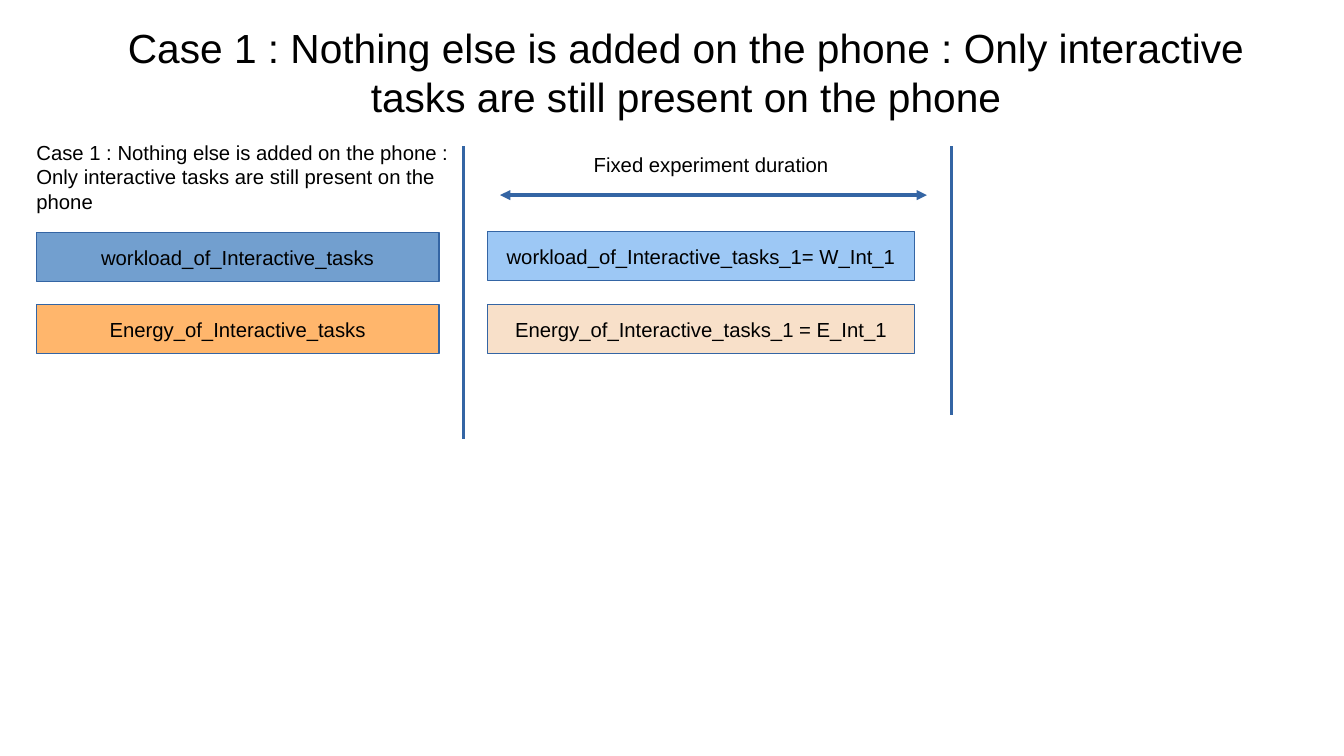
from lxml import etree
from pptx import Presentation
from pptx.dml.color import RGBColor
from pptx.enum import shapes, text
from pptx.oxml import ns
from pptx.util import Pt

CASE = ("Case 1 : Nothing else is added on the phone : "
        "Only interactive tasks are still present on the phone")
BLUE = "3465A4"
LEFT_COLUMN = (21.6, 237.6)
RIGHT_COLUMN = (288, 252)
BAR_HEIGHT = 28.8
BARS = [
    (LEFT_COLUMN, 137.52, "729FCF", "workload_of_Interactive_tasks"),
    (RIGHT_COLUMN, 136.8, "9DC8F5", "workload_of_Interactive_tasks_1= W_Int_1"),
    (LEFT_COLUMN, 180, "FFB66C", "Energy_of_Interactive_tasks"),
    (RIGHT_COLUMN, 180, "F8E0C9", "Energy_of_Interactive_tasks_1 = E_Int_1"),
]


def color(value):
    """Turn a hex string into a colour."""
    return RGBColor.from_string(value)


def write(box, words, size=12, centred=False, middle=False, wrap=True, inset=(7.2, 3.6)):
    """Put one formatted paragraph into a box."""
    across, down = (Pt(side) for side in inset)
    frame = box.text_frame
    frame_format = {
        "margin_left": across, "margin_right": across,
        "margin_top": down, "margin_bottom": down,
        "word_wrap": wrap,
        "vertical_anchor": text.MSO_ANCHOR.MIDDLE if middle else text.MSO_ANCHOR.TOP,
    }
    for name, value in frame_format.items():
        setattr(frame, name, value)
    para = frame.paragraphs[0]
    para.alignment = text.PP_ALIGN.CENTER if centred else text.PP_ALIGN.LEFT
    span = para.add_run()
    span.text = words
    for name, value in {"name": "Arial", "size": Pt(size)}.items():
        setattr(span.font, name, value)
    span.font.color.rgb = color("000000")


def add_label(page, left, top, width, height, words, **layout):
    """Add a text box."""
    box = page.shapes.add_textbox(Pt(left), Pt(top), Pt(width), Pt(height))
    write(box, words, **layout)


def add_bar(page, column, top, fill, words):
    """Add a filled bar with centred text."""
    left, width = column
    box = page.shapes.add_shape(shapes.MSO_SHAPE.RECTANGLE,
                                Pt(left), Pt(top), Pt(width), Pt(BAR_HEIGHT))
    box.shadow.inherit = False
    box.fill.solid()
    box.fill.fore_color.rgb = color(fill)
    box.line.color.rgb = color(BLUE)
    box.line.width = Pt(0)
    write(box, words, centred=True, middle=True, wrap=False)


def add_line(page, start, end, arrows=False):
    """Add a hairline, with arrowheads at both ends if wanted."""
    line = page.shapes.add_connector(shapes.MSO_CONNECTOR.STRAIGHT,
                                     *(Pt(value) for value in start + end))
    line.line.color.rgb = color(BLUE)
    line.line.width = Pt(0)
    properties = line._element.spPr
    if arrows:
        outline = properties.find(ns.qn("a:ln"))
        for tag in ("a:headEnd", "a:tailEnd"):
            etree.SubElement(outline, ns.qn(tag), type="triangle")
    etree.SubElement(properties, ns.qn("a:effectLst"))


def main():
    """Build the slide and save it."""
    deck = Presentation()
    deck.slide_width, deck.slide_height = Pt(793.44), Pt(446.4)
    page = deck.slides.add_slide(deck.slide_layouts[6])
    add_label(page, 54, 12.96, 702, 59.04, CASE,
              size=24, centred=True, middle=True, inset=(0, 0))
    for bar in BARS:
        add_bar(page, *bar)
    add_line(page, (273.6, 86.4), (273.6, 259.2))
    add_line(page, (561.6, 86.4), (561.6, 244.8))
    add_label(page, 14.4, 79.2, 260.64, 58.32, CASE)
    add_line(page, (295.2, 115.2), (547.2, 115.2), arrows=True)
    add_label(page, 343.44, 86.4, 153.36, 20.88, "Fixed experiment duration", wrap=False)
    deck.save("out.pptx")


if __name__ == "__main__":
    main()
